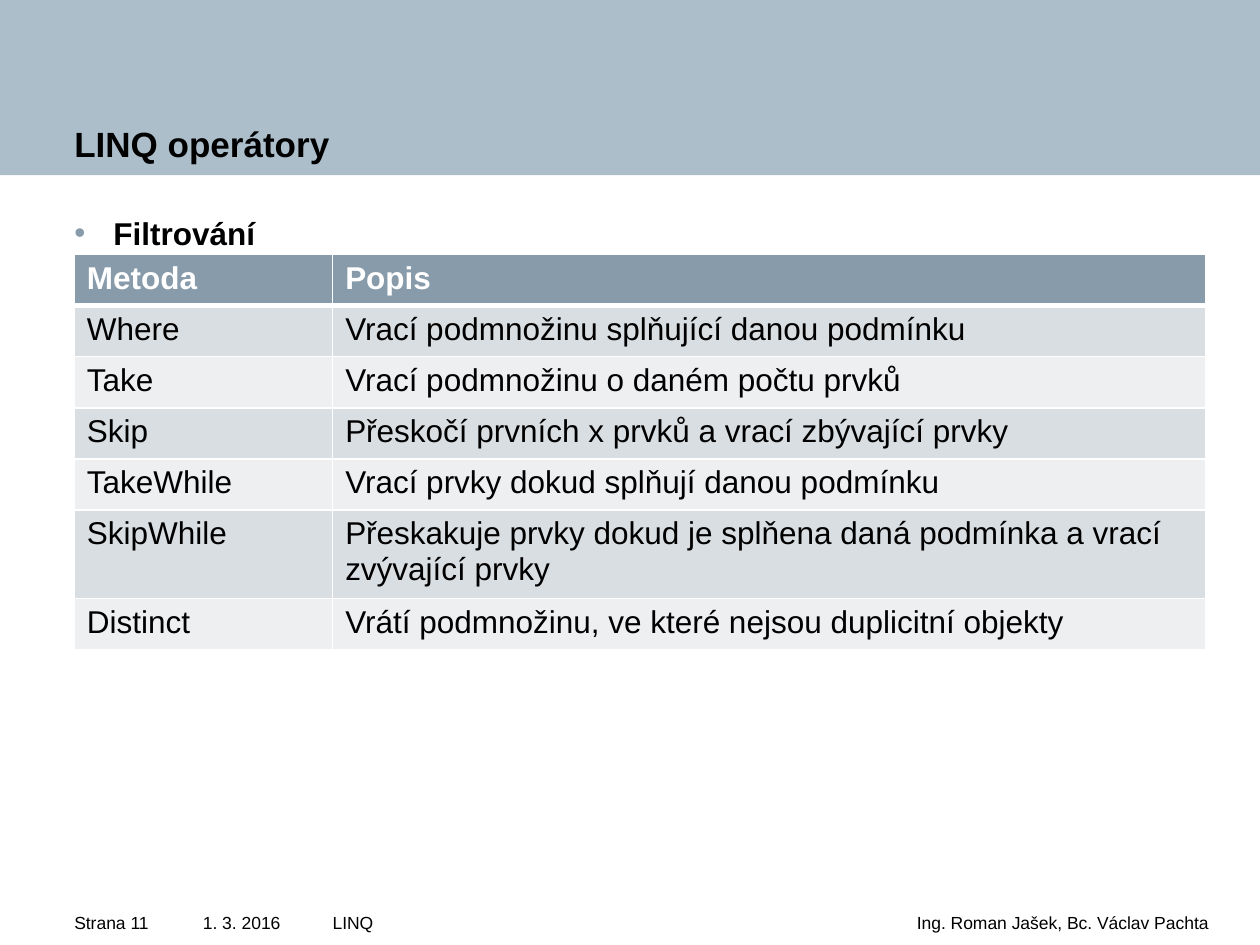
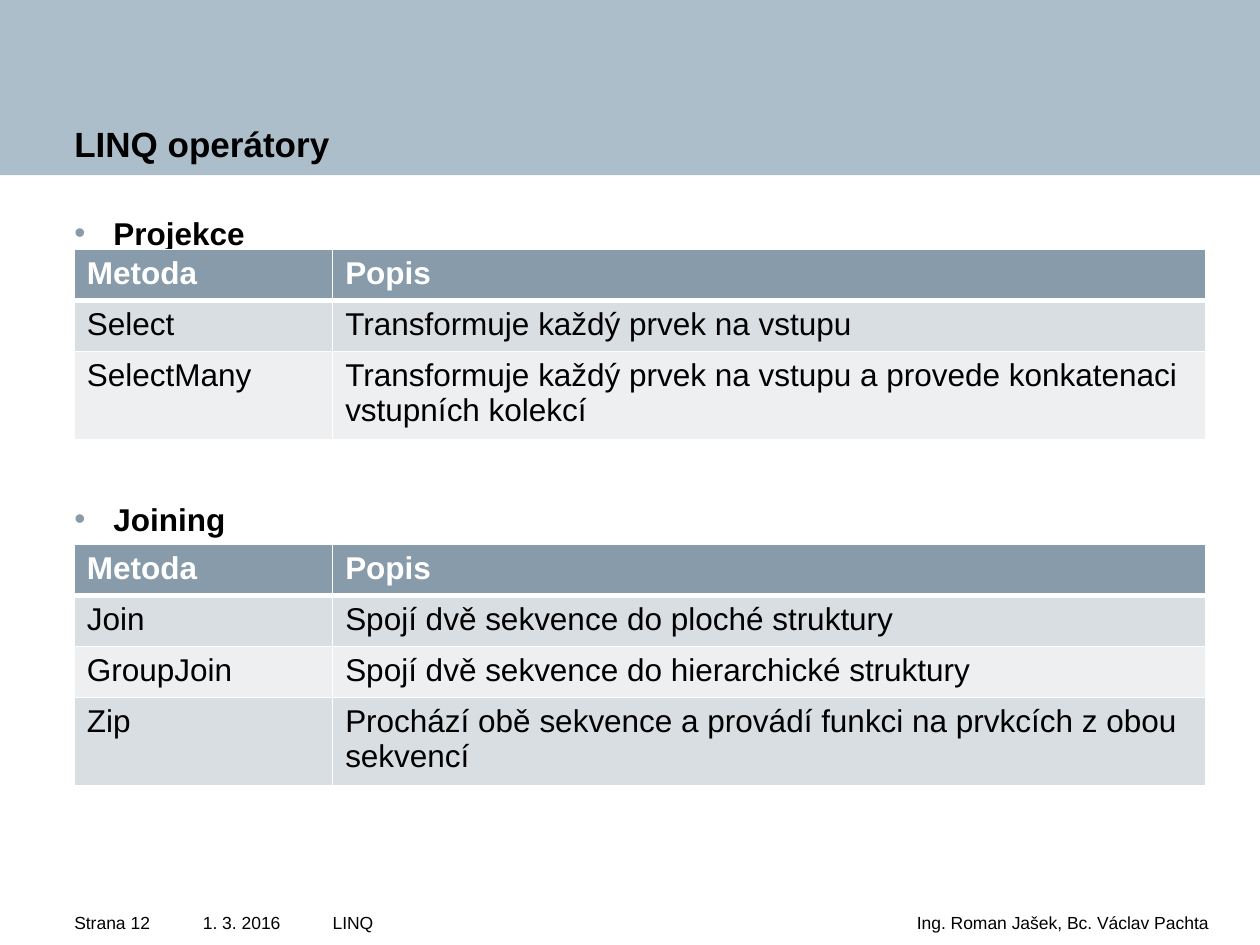
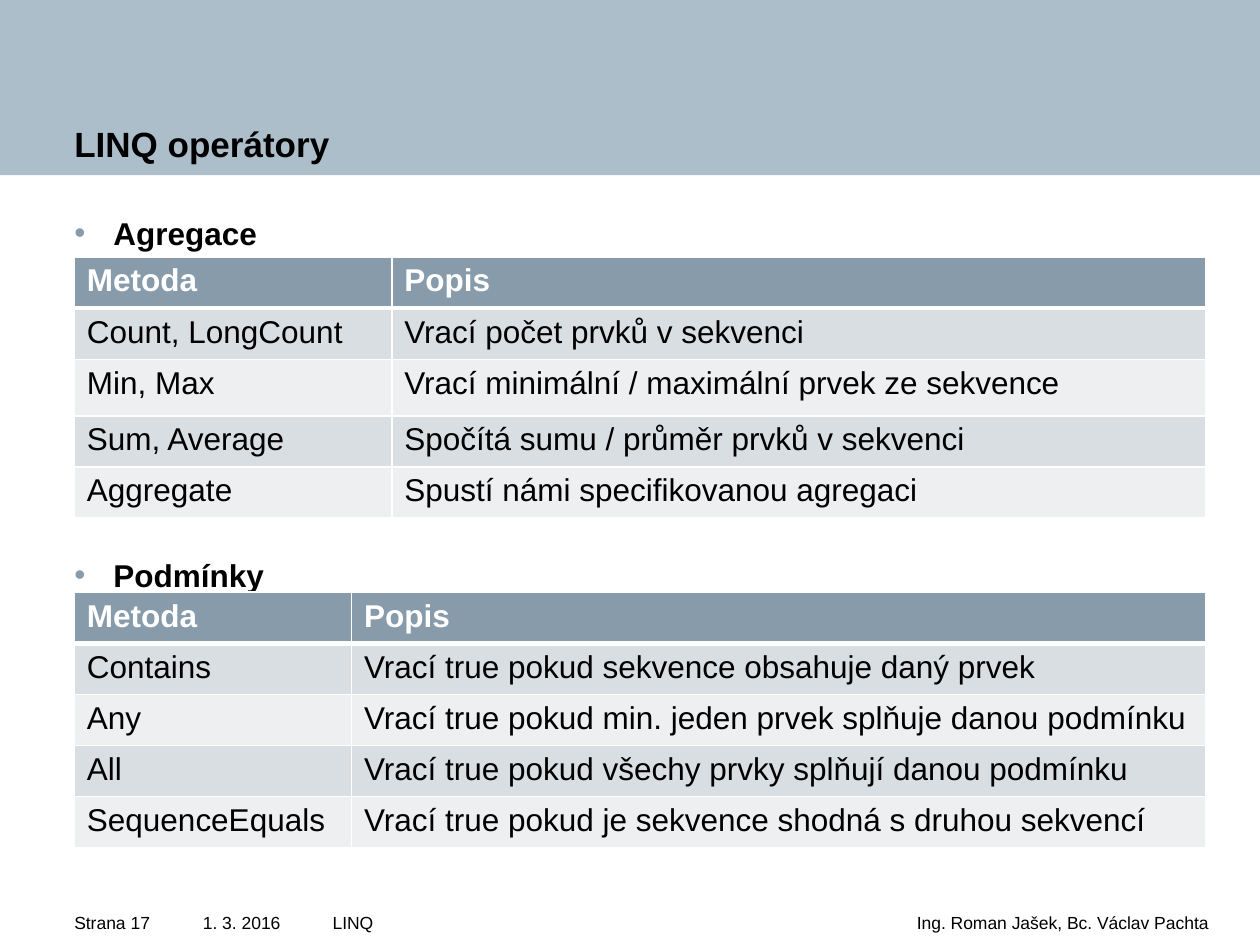
from dataclasses import dataclass

from lxml import etree
from pptx import Presentation, util as u
from pptx.dml.color import RGBColor
from pptx.enum import shapes, text
from pptx.oxml.ns import qn


@dataclass(frozen=True)
class Theme:
    font: str = "Arial"
    band: str = "ADBECB"
    head: str = "879BAA"
    odd: str = "D9DEE2"
    even: str = "EDEFF1"
    ink: str = "000000"
    paper: str = "FFFFFF"
    title: int = 20
    body: int = 18
    small: int = 10
    line: float = 29.2
    extra: float = 18.3
    thin: int = 1
    thick: int = 3


T = Theme()
COLS, ROWS = 100, 75
UNIT = u.Inches(10) // COLS
LEFT, WIDE = 5.9, 89.8
HEAD = ("Metoda", "Popis")
AUTHOR = "Ing. Roman Jašek, Bc. Václav Pachta"

PAGES = [
    (11, [
        ("Filtrování", 0, 20.2, 20.5, {}, [
            ("Where", "Vrací podmnožinu splňující danou podmínku"),
            ("Take", "Vrací podmnožinu o daném počtu prvků"),
            ("Skip", "Přeskočí prvních x prvků a vrací zbývající prvky"),
            ("TakeWhile", "Vrací prvky dokud splňují danou podmínku"),
            ("SkipWhile", "Přeskakuje prvky dokud je splňena daná podmínka a vrací\nzvývající prvky"),
            ("Distinct", "Vrátí podmnožinu, ve které nejsou duplicitní objekty"),
        ]),
    ]),
    (12, [
        ("Projekce", 0, 19.8, 20.5, {}, [
            ("Select", "Transformuje každý prvek na vstupu"),
            ("SelectMany", "Transformuje každý prvek na vstupu a provede konkatenaci\nvstupních kolekcí"),
        ]),
        ("Joining", 131, 43.2, 20.5, {}, [
            ("Join", "Spojí dvě sekvence do ploché struktury"),
            ("GroupJoin", "Spojí dvě sekvence do hierarchické struktury"),
            ("Zip", "Prochází obě sekvence a provádí funkci na prvkcích z obou\nsekvencí"),
        ]),
    ]),
    (17, [
        ("Agregace", 0, 20.4, 25.2, {2: 32.4}, [
            ("Count, LongCount", "Vrací počet prvků v sekvenci"),
            ("Min, Max", "Vrací minimální / maximální prvek ze sekvence"),
            ("Sum, Average", "Spočítá sumu / průměr prvků v sekvenci"),
            ("Aggregate", "Spustí námi specifikovanou agregaci"),
        ]),
        ("Podmínky", 163, 47, 22, {}, [
            ("Contains", "Vrací true pokud sekvence obsahuje daný prvek"),
            ("Any", "Vrací true pokud min. jeden prvek splňuje danou podmínku"),
            ("All", "Vrací true pokud všechy prvky splňují danou podmínku"),
            ("SequenceEquals", "Vrací true pokud je sekvence shodná s druhou sekvencí"),
        ]),
    ]),
]


def grid(*spans):
    return [round(n * UNIT) for n in spans]


def apply(item, form):
    for name, value in form.items():
        setattr(item, name, value)


def style(par, size, color=T.ink, bold=False, **form):
    apply(par, form)
    apply(par.font, {"name": T.font, "size": u.Pt(size), "bold": bold})
    par.font.color.rgb = RGBColor.from_string(color)


def frame(slide, box, pads=(0, 0, 0, 0), anchor=text.MSO_ANCHOR.TOP):
    body = slide.shapes.add_textbox(*grid(*box)).text_frame
    sides = ("margin_left", "margin_top", "margin_right", "margin_bottom")
    apply(body, dict(zip(sides, grid(*pads))))
    apply(body, {"word_wrap": True, "vertical_anchor": anchor})
    return body


def banner(slide, box, words):
    band = slide.shapes.add_shape(shapes.MSO_SHAPE.RECTANGLE, *grid(*box))
    band.shadow.inherit = False
    band.fill.solid()
    band.fill.fore_color.rgb = RGBColor.from_string(T.band)
    band.line.fill.background()
    par = frame(slide, box, (LEFT, 4.3, 23.2, 2.7), text.MSO_ANCHOR.BOTTOM).paragraphs[0]
    par.text = words
    style(par, T.title, bold=True)


def footer(slide, box, page):
    left, top, wide, tall = box
    parts = [
        ("1. 3. 2016", 0, 27.9, 16.1, 0, text.PP_ALIGN.LEFT),
        (f"Strana {page}", 0, 13.7, LEFT, 0, text.PP_ALIGN.LEFT),
        (AUTHOR, 29.5, wide - 29.5, 0, 4.1, text.PP_ALIGN.RIGHT),
        ("LINQ", 26.4, 35.8, 0, 4.1, text.PP_ALIGN.LEFT),
    ]
    for words, start, span, near, far, align in parts:
        par = frame(slide, (left + start, top, span, tall), (near, 0, far, 1.3)).paragraphs[0]
        par.text = words
        style(par, T.small, alignment=align, line_spacing=1.1)


def bullet(par):
    props = par._p.get_or_add_pPr()
    indent = grid(3.1)[0]
    props.set("marL", str(indent))
    props.set("indent", str(-indent))
    tint = etree.SubElement(props, qn("a:buClr"))
    etree.SubElement(tint, qn("a:srgbClr"), val=T.head)
    etree.SubElement(props, qn("a:buFont"), typeface=T.font)
    etree.SubElement(props, qn("a:buChar"), char="•")


def topics(slide, box, parts):
    body = frame(slide, box)
    for spot, (name, gap, *_) in enumerate(parts):
        par = body.add_paragraph() if spot else body.paragraphs[0]
        par.text = name
        style(par, T.body, bold=True, line_spacing=1.5, space_before=u.Pt(gap))
        bullet(par)


def edges(cell, row):
    widths = {
        "a:lnL": T.thin,
        "a:lnR": T.thin,
        "a:lnT": T.thick if row == 1 else T.thin,
        "a:lnB": T.thick if row == 0 else T.thin,
    }
    props = cell._tc.get_or_add_tcPr()
    for spot, (tag, width) in enumerate(widths.items()):
        line = etree.Element(qn(tag), w=str(u.Pt(width)))
        fill = etree.SubElement(line, qn("a:solidFill"))
        etree.SubElement(fill, qn("a:srgbClr"), val=T.paper)
        props.insert(spot, line)


def listing(slide, box, split, lines, sizes):
    left, top, wide = box
    rows = [HEAD, *lines]
    highs = [u.Pt(sizes.get(i, T.line + T.extra * row[1].count("\n")))
             for i, row in enumerate(rows)]
    table = slide.shapes.add_table(
        len(rows), len(HEAD), *grid(left, top, wide), sum(highs)).table
    apply(table, {"first_row": True, "horz_banding": False})
    for col, span in zip(table.columns, grid(split, wide - split)):
        col.width = span
    for i, row in enumerate(rows):
        table.rows[i].height = highs[i]
        shade = T.head if i == 0 else (T.even, T.odd)[i % 2]
        for j, words in enumerate(row):
            cell = table.cell(i, j)
            cell.text = words
            cell.fill.solid()
            cell.fill.fore_color.rgb = RGBColor.from_string(shade)
            edges(cell, i)
            for par in cell.text_frame.paragraphs:
                style(par, T.body, T.ink if i else T.paper, i == 0)


def build(deck, page, parts):
    slide = deck.slides.add_slide(deck.slide_layouts[6])
    banner(slide, (0, 0, COLS, 13.9), "LINQ operátory")
    footer(slide, (0, 72.2, COLS, 2.8), page)
    topics(slide, (LEFT, 15.5, WIDE, 52), parts)
    for _, _, top, split, sizes, lines in parts:
        listing(slide, (LEFT, top, WIDE), split, lines, sizes)


def main():
    deck = Presentation()
    apply(deck, {"slide_width": COLS * UNIT, "slide_height": ROWS * UNIT})
    for page, parts in PAGES:
        build(deck, page, parts)
    deck.save("out.pptx")


if __name__ == "__main__":
    main()
